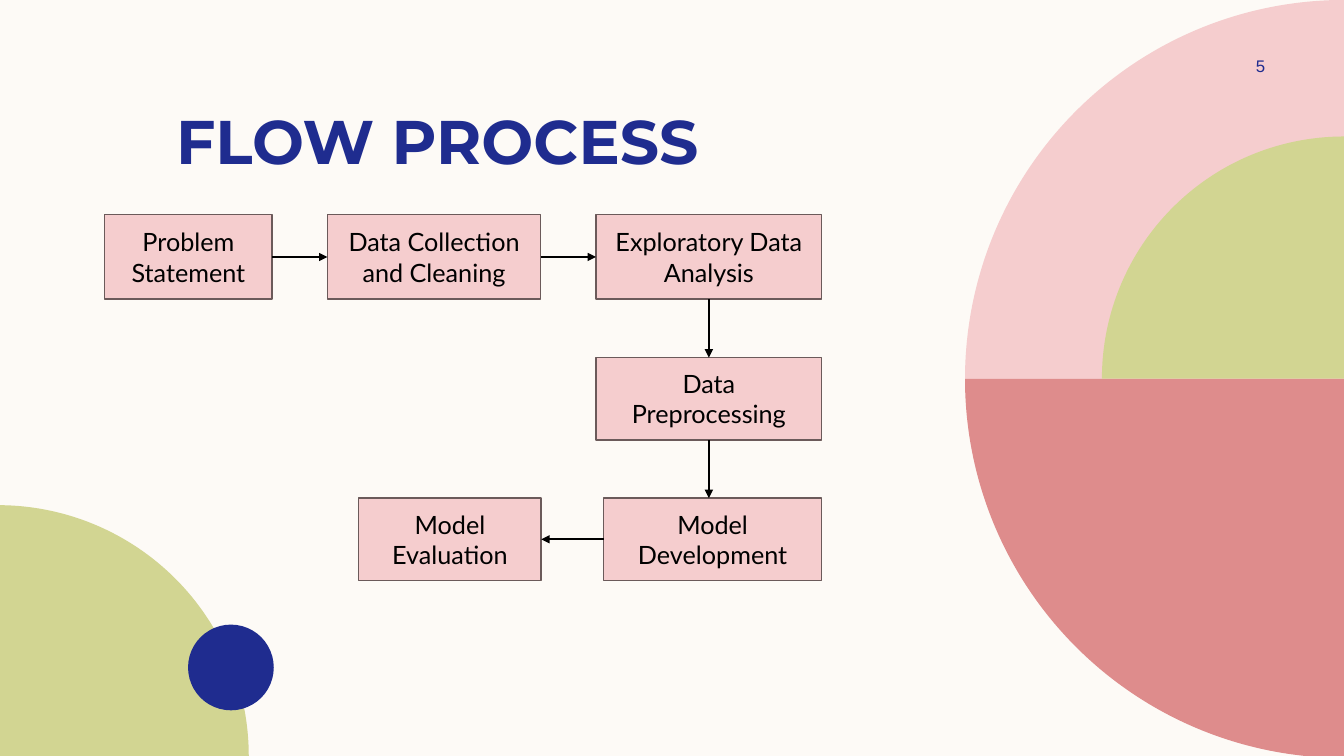
"""Build the flow process slide with its six linked steps."""
from dataclasses import dataclass
from math import cos, radians, sin

from lxml import etree
from pptx import Presentation
from pptx.dml.color import RGBColor
from pptx.enum.shapes import MSO_CONNECTOR, MSO_SHAPE
from pptx.enum.text import MSO_ANCHOR, PP_ALIGN
from pptx.oxml.ns import qn
from pptx.util import Cm, Pt

RECTANGLE, OVAL = MSO_SHAPE.RECTANGLE, MSO_SHAPE.OVAL
STRAIGHT = MSO_CONNECTOR.STRAIGHT
LEFT, CENTER = PP_ALIGN.LEFT, PP_ALIGN.CENTER
MIDDLE, BOTTOM = MSO_ANCHOR.MIDDLE, MSO_ANCHOR.BOTTOM
COLORS = {
    "cream": "FDFAF6",
    "blush": "F5CDCE",
    "rose": "DE8C8C",
    "lime": "D2D592",
    "navy": "1F2C8F",
    "outline": "6B5A5A",
    "black": "000000",
}


@dataclass(frozen=True)
class Quarter:
    center_x: float
    center_y: float
    radius: float
    start_degrees: int
    color: str


@dataclass(frozen=True)
class Step:
    text: str
    left: float
    top: float
    width: float
    height: float

    @property
    def right(self) -> float:
        return self.left + self.width

    @property
    def bottom(self) -> float:
        return self.top + self.height

    @property
    def center_x(self) -> float:
        return self.left + self.width / 2

    @property
    def center_y(self) -> float:
        return self.top + self.height / 2


QUARTERS = [
    Quarter(33.87, 9.55, 9.55, 180, "blush"),
    Quarter(33.87, 9.55, 9.55, 90, "rose"),
    Quarter(33.87, 9.54, 6.1, 180, "lime"),
    Quarter(-0.05, 19.05, 6.32, 270, "lime"),
]
STEPS = [
    Step("Problem Statement", 2.64, 5.41, 4.22, 2.13),
    Step("Data Collection and Cleaning", 8.25, 5.41, 5.38, 2.13),
    Step("Exploratory Data Analysis", 15.02, 5.41, 5.69, 2.13),
    Step("Data Preprocessing", 15.02, 9.01, 5.69, 2.08),
    Step("Model Development", 15.21, 12.55, 5.5, 2.08),
    Step("Model Evaluation", 9.04, 12.55, 4.6, 2.08),
]


def rgb(name: str) -> RGBColor:
    return RGBColor.from_string(COLORS[name])


def write_text(shape, text: str, *, font: str, size: float, color: str,
               bold: bool = False, align=CENTER, anchor=MIDDLE) -> None:
    frame = shape.text_frame
    frame.word_wrap = True
    frame.vertical_anchor = anchor
    paragraph = frame.paragraphs[0]
    paragraph.alignment = align
    run = paragraph.add_run()
    run.text = text
    run.font.name = font
    run.font.size = Pt(size)
    run.font.bold = bold
    run.font.color.rgb = rgb(color)


def paint(shape, fill: str, outline: str | None = None) -> None:
    shape.shadow.inherit = False
    shape.fill.solid()
    shape.fill.fore_color.rgb = rgb(fill)
    if outline:
        shape.line.color.rgb = rgb(outline)
        shape.line.width = Pt(1)
    else:
        shape.line.fill.background()


def draw_quarter(slide, quarter: Quarter) -> None:
    arc_start, arc_end = (
        (Cm(quarter.center_x + quarter.radius * cos(radians(degrees))),
         Cm(quarter.center_y + quarter.radius * sin(radians(degrees))))
        for degrees in (quarter.start_degrees, quarter.start_degrees + 90))
    center = (Cm(quarter.center_x), Cm(quarter.center_y))
    builder = slide.shapes.build_freeform(*arc_start)
    builder.add_line_segments([arc_end, center], close=True)
    shape = builder.convert_to_shape()
    chord = next(shape._element.iter(qn("a:lnTo")))
    radius = str(int(Cm(quarter.radius)))
    arc = etree.Element(qn("a:arcTo"), wR=radius, hR=radius,
                        stAng=str(quarter.start_degrees * 60000), swAng=str(90 * 60000))
    chord.getparent().replace(chord, arc)
    paint(shape, quarter.color)


def draw_step(slide, step: Step) -> None:
    shape = slide.shapes.add_shape(
        RECTANGLE, Cm(step.left), Cm(step.top), Cm(step.width), Cm(step.height))
    paint(shape, "blush", "outline")
    write_text(shape, step.text, font="Lato", size=18, color="black")


def draw_arrow(slide, source: Step, target: Step) -> None:
    if target.top > source.bottom:
        ends = (source.center_x, source.bottom, source.center_x, target.top)
    elif target.left > source.right:
        ends = (source.right, source.center_y, target.left, source.center_y)
    else:
        ends = (source.left, source.center_y, target.right, source.center_y)
    connector = slide.shapes.add_connector(STRAIGHT, *(Cm(end) for end in ends))
    connector.line.color.rgb = rgb("black")
    connector.line.width = Pt(1.5)
    line = connector.line._get_or_add_ln()
    etree.SubElement(line, qn("a:tailEnd"), type="triangle")
    etree.SubElement(connector._element.spPr, qn("a:effectLst"))


def main() -> None:
    presentation = Presentation()
    presentation.slide_width = Cm(33.87)
    presentation.slide_height = Cm(19.05)
    slide = presentation.slides.add_slide(presentation.slide_layouts[6])
    slide.background.fill.solid()
    slide.background.fill.fore_color.rgb = rgb("cream")

    for quarter in QUARTERS:
        draw_quarter(slide, quarter)
    dot = slide.shapes.add_shape(OVAL, Cm(4.74), Cm(15.74), Cm(2.16), Cm(2.16))
    paint(dot, "navy")

    title = slide.shapes.add_textbox(Cm(4.19), Cm(2.44), Cm(18.8), Cm(2.13))
    write_text(title, "FLOW PROCESS", font="Montserrat", size=44, color="navy",
               bold=True, align=LEFT, anchor=BOTTOM)
    number = slide.shapes.add_textbox(Cm(30.4), Cm(1.27), Cm(2.74), Cm(0.76))
    write_text(number, "5", font="Arial", size=12, color="navy")

    for step in STEPS:
        draw_step(slide, step)
    for source, target in zip(STEPS, STEPS[1:]):
        draw_arrow(slide, source, target)
    presentation.save("out.pptx")


if __name__ == "__main__":
    main()
